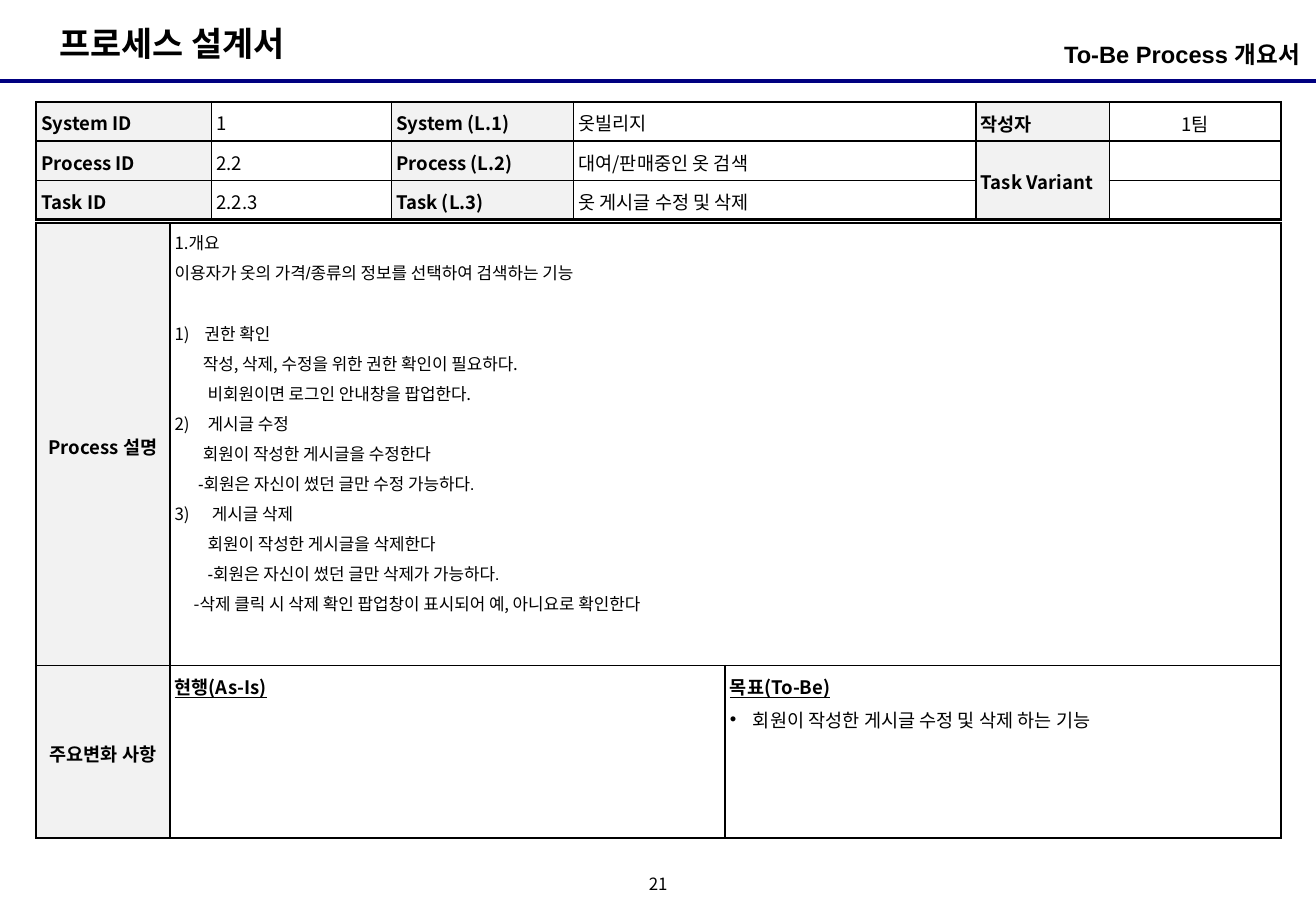
from dataclasses import dataclass
from lxml import etree
from pptx import Presentation
from pptx import util as u
from pptx.dml.color import RGBColor
from pptx.enum import shapes, text
from pptx.oxml.ns import qn

LEFT, CENTER, RIGHT = text.PP_ALIGN.LEFT, text.PP_ALIGN.CENTER, text.PP_ALIGN.RIGHT
TOP, MIDDLE = text.MSO_ANCHOR.TOP, text.MSO_ANCHOR.MIDDLE
KOREAN, LATIN = "Noto Sans CJK KR", "Arial"
BLACK, WHITE, LABEL, NAVY = "000000", "FFFFFF", "F2F2F2", "000080"


def color(value):
    return RGBColor.from_string(value)


def child(parent, tag, **attributes):
    return etree.SubElement(parent, qn(tag), attributes)


@dataclass
class Line:
    runs: tuple
    size: float = 11
    bold: bool = False
    underline: bool = False
    align: object = LEFT
    indent: float = 0
    hanging: float = 0
    number: int = 0
    bullet: str = ""
    before: float = 1
    after: float = 1
    spacing: float = 1.1


class Sheet:
    def __init__(self, slide):
        self.slide = slide
        self.outer, self.inner = 1.5, 1
        self.inset = u.Cm(0.1)

    def add_lines(self, frame, lines):
        for index, line in enumerate(lines):
            paragraph = frame.paragraphs[0] if index == 0 else frame.add_paragraph()
            paragraph.alignment = line.align
            paragraph.line_spacing = line.spacing
            paragraph.space_before = u.Pt(line.before)
            paragraph.space_after = u.Pt(line.after)
            properties = paragraph._p.get_or_add_pPr()
            properties.set("marL", str(u.Cm(line.indent)))
            properties.set("indent", str(-u.Cm(line.hanging)))
            if line.number:
                child(properties, "a:buFont", typeface=LATIN)
                child(properties, "a:buAutoNum", type="arabicParenR", startAt=str(line.number))
            elif line.bullet:
                child(properties, "a:buFont", typeface=LATIN)
                child(properties, "a:buChar", char=line.bullet)
            else:
                child(properties, "a:buNone")
            for words, typeface in line.runs:
                run = paragraph.add_run()
                run.text = words
                run.font.size = u.Pt(line.size)
                run.font.bold = line.bold
                run.font.underline = line.underline
                run.font.color.rgb = color(BLACK)
                run.font.name = typeface
                child(run._r.get_or_add_rPr(), "a:ea", typeface=KOREAN)
            if not line.runs:
                child(paragraph._p, "a:endParaRPr", sz=str(line.size * 100))

    def frame(self, shape, box, line, margins, anchor, wrap):
        shape.left, shape.top, shape.width, shape.height = map(u.Cm, box)
        frame = shape.text_frame
        frame.auto_size = text.MSO_AUTO_SIZE.NONE
        frame.word_wrap = wrap
        frame.vertical_anchor = anchor
        frame.margin_left = frame.margin_right = u.Cm(margins[0])
        frame.margin_top = frame.margin_bottom = u.Cm(margins[1])
        self.add_lines(frame, [line])

    def placeholder(self, index, box, line, margins, anchor, wrap=True):
        self.frame(self.slide.placeholders[index], box, line, margins, anchor, wrap)

    def textbox(self, box, line):
        label = self.slide.shapes.add_textbox(*map(u.Cm, box))
        self.frame(label, box, line, (0, 0), MIDDLE, False)

    def rule(self, left, right, height, hue, weight):
        connector = self.slide.shapes.add_connector(
            shapes.MSO_CONNECTOR.STRAIGHT, *map(u.Cm, (left, height, right, height)))
        connector.line.color.rgb = color(hue)
        connector.line.width = u.Pt(weight)
        child(connector._element.spPr, "a:effectLst")

    def border(self, cell, edges):
        properties = cell._tc.get_or_add_tcPr()
        for place, (side, at_edge) in enumerate(edges.items()):
            weight = u.Pt(self.outer if at_edge else self.inner)
            stroke = etree.Element(qn(f"a:ln{side}"), w=str(weight))
            child(child(stroke, "a:solidFill"), "a:srgbClr", val=BLACK)
            properties.insert(place, stroke)

    def table(self, left, top, widths, heights, merges, cells, label_cells, middle_cells):
        grid = self.slide.shapes.add_table(
            len(heights), len(widths), *map(u.Cm, (left, top, sum(widths), sum(heights)))).table
        grid.first_row = grid.horz_banding = False
        for column, width in zip(grid.columns, widths):
            column.width = u.Cm(width)
        for row, height in zip(grid.rows, heights):
            row.height = u.Cm(height)
        for first, last in merges:
            grid.cell(*first).merge(grid.cell(*last))
        for r in range(len(heights)):
            for c in range(len(widths)):
                cell = grid.cell(r, c)
                last_row = r + (cell.span_height if cell.is_merge_origin else 1)
                last_column = c + (cell.span_width if cell.is_merge_origin else 1)
                cell.margin_left = cell.margin_right = self.inset
                cell.margin_top = cell.margin_bottom = self.inset
                cell.vertical_anchor = MIDDLE if (r, c) in middle_cells else TOP
                cell.fill.solid()
                cell.fill.fore_color.rgb = color(LABEL if (r, c) in label_cells else WHITE)
                self.border(cell, {"L": c == 0, "R": last_column == len(widths),
                                   "T": r == 0, "B": last_row == len(heights)})
                self.add_lines(cell.text_frame, cells.get((r, c), [Line(())]))


def korean(words, **style):
    return Line(((words, KOREAN),), **style)


def detail(words, typeface=LATIN, **style):
    return Line(((words, typeface),), size=10, **style)


deck = Presentation()
deck.slide_width, deck.slide_height = u.Cm(27.51), u.Cm(19.05)
sheet = Sheet(deck.slides.add_slide(deck.slide_layouts[1]))
plain = dict(before=0, after=0, spacing=1)

sheet.rule(0, 27.51, 1.7, NAVY, 2.25)
sheet.placeholder(0, (0.99, 0.33, 5.74, 1.12),
                  korean("프로세스 설계서", size=20, bold=True, **plain), (0.25, 0.13), MIDDLE, False)
sheet.placeholder(1, (18.77, 0.71, 8.41, 0.99),
                  Line((("To-Be Process 개요서", LATIN),), size=14, bold=True, align=RIGHT, **plain),
                  (0, 0.13), TOP)

identity = [
    ("System ID", "1", "System (L.1)", "옷빌리지", "작성자", "1팀"),
    ("Process ID", "2.2", "Process (L.2)", "대여/판매중인 옷 검색", "Task Variant", ""),
    ("Task ID", "2.2.3", "Task (L.3)", "옷 게시글 수정 및 삭제", "", ""),
]
identity_cells = {
    (r, c): [korean(words, bold=c % 2 == 0, align=CENTER if c == 5 else LEFT)]
    for r, row in enumerate(identity) for c, words in enumerate(row) if words
}
sheet.table(0.76, 2.13, (3.66, 3.76, 3.81, 8.41, 2.79, 3.58), (0.79,) * 3,
            [((1, 4), (2, 4))], identity_cells,
            {(r, c) for r in range(3) for c in (0, 2, 4)},
            {(0, 4), (0, 5), (1, 4)})

description = [
    detail("1.개요", KOREAN),
    Line((("이용자가 ", KOREAN), ("옷의 가격/종류의 정보를 선택하여 검색하는 기능", LATIN)), size=10),
    detail("권한 확인", KOREAN, number=1, indent=0.63, hanging=0.63, before=19),
    detail("작성, 삭제, 수정을 위한 권한 확인이 필요하다.", KOREAN, indent=0.59),
    detail("비회원이면 로그인 안내창을 팝업한다.", KOREAN, indent=0.69),
    detail("게시글 수정", number=2, indent=0.69, hanging=0.69),
    detail("회원이 작성한 게시글을 수정한다", indent=0.59),
    detail("-회원은 자신이 썼던 글만 수정 가능하다.", indent=0.49),
    detail("게시글 삭제", number=3, indent=0.78, hanging=0.78),
    detail("회원이 작성한 게시글을 삭제한다", indent=0.69),
    detail("-회원은 자신이 썼던 글만 삭제가 가능하다.", indent=0.69),
    detail("-삭제 클릭 시 삭제 확인 팝업창이 표시되어 예, 아니요로 확인한다", KOREAN, indent=0.4),
]
process_cells = {
    (0, 0): [korean("Process 설명", bold=True, align=CENTER)],
    (0, 1): description,
    (1, 0): [korean("주요변화 사항", bold=True, align=CENTER)],
    (1, 1): [korean("현행(As-Is)", bold=True, underline=True)],
    (1, 2): [korean("목표(To-Be)", bold=True, underline=True),
             korean("회원이 작성한 게시글 수정 및 삭제 하는 기능", bullet="•", indent=0.48, hanging=0.48)],
}
process_labels = {(0, 0), (1, 0)}
sheet.table(0.76, 4.67, (2.79, 11.61, 11.61), (9.25, 3.61),
            [((0, 1), (0, 2))], process_cells, process_labels, process_labels)

sheet.textbox((13.34, 18.21, 0.84, 0.64),
              korean("21", size=10, align=CENTER, before=0, after=0, spacing=0.8))

deck.save("out.pptx")
